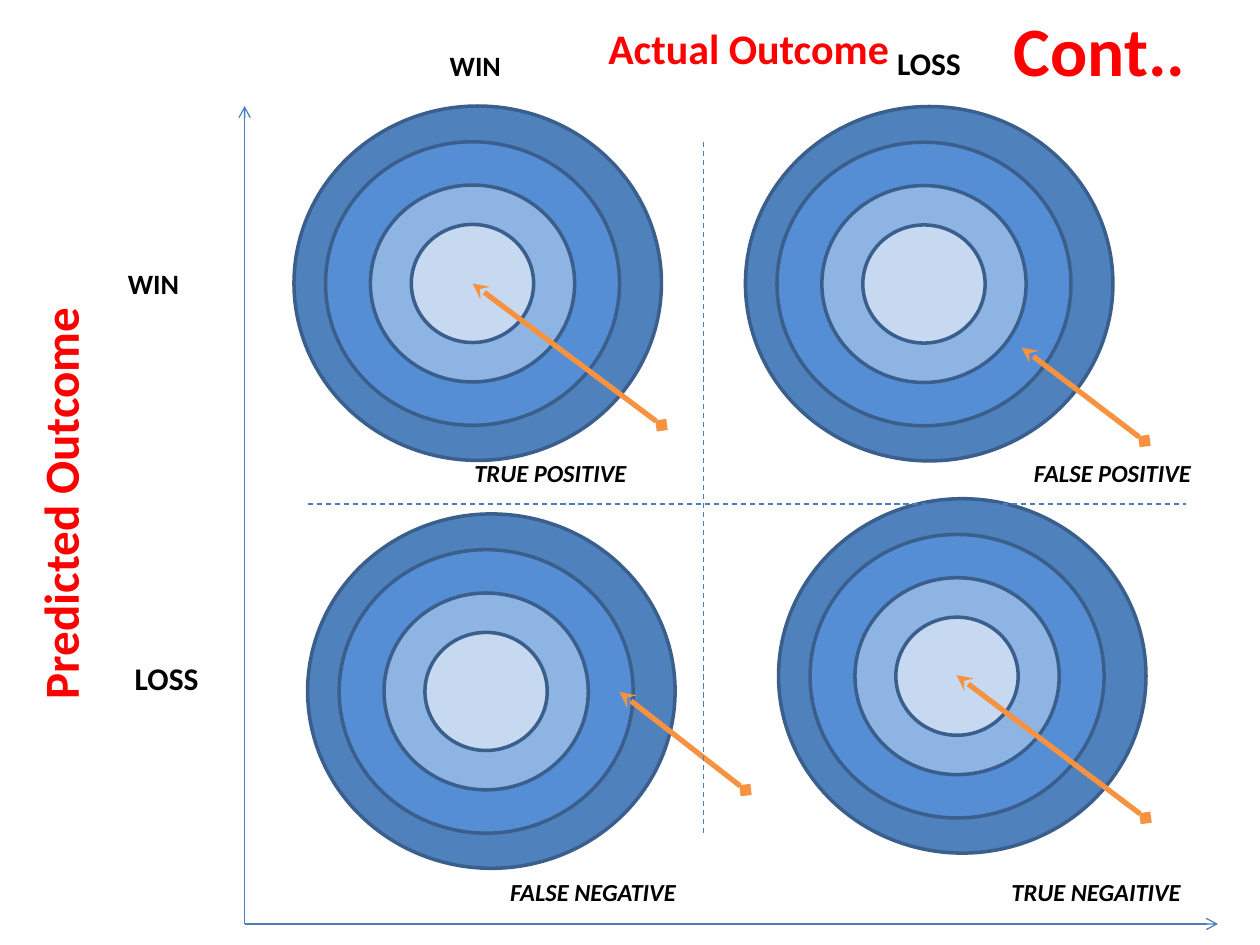
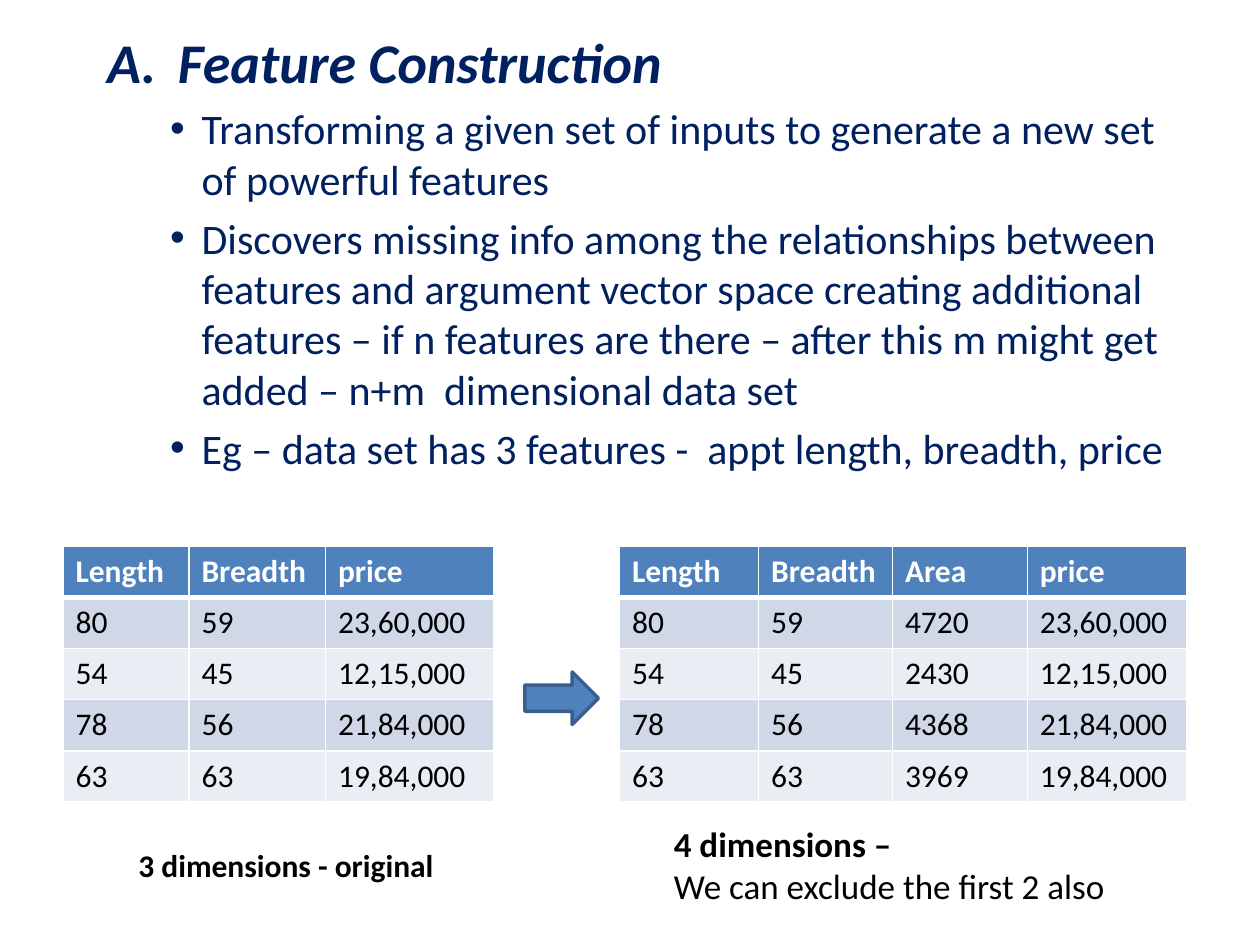
"""Build two slides on prediction outcomes and feature construction."""
import pptx
import pptx.chart.data
import pptx.dml.color
import pptx.enum.dml
import pptx.enum.shapes
import pptx.enum.text
import pptx.oxml.ns
import pptx.util
import lxml.etree

RGBColor = pptx.dml.color.RGBColor
BLUE = RGBColor(0x4F, 0x81, 0xBD)
OUTLINE = RGBColor(0x3A, 0x5F, 0x8C)
AXIS = RGBColor(0x4B, 0x7E, 0xBC)
ORANGE = RGBColor(0xF6, 0x92, 0x40)
RED = RGBColor(0xFF, 0x00, 0x00)
NAVY = RGBColor(0x00, 0x20, 0x60)
BLACK = RGBColor(0x00, 0x00, 0x00)
WHITE = RGBColor(0xFF, 0xFF, 0xFF)
BAND_DARK = RGBColor(0xD0, 0xD8, 0xE8)
BAND_LIGHT = RGBColor(0xE9, 0xED, 0xF4)
RINGS = [
    (28, 27, RGBColor(0x55, 0x8E, 0xD5)),
    (19.45, 18.75, RGBColor(0x8E, 0xB4, 0xE3)),
    (11.65, 11.25, RGBColor(0xC6, 0xD9, 0xF1)),
]
FONT = "Calibri"
UNITS_PER_INCH = 12
TITLE_ONLY, TITLE_AND_CONTENT = 5, 1


def add_element(parent, tag, **attributes):
    """Append a drawing element with the given attributes."""
    return lxml.etree.SubElement(parent, pptx.oxml.ns.qn(tag), **attributes)


class SlideBuilder:
    """Draw styled elements on a grid of 120 columns by 90 rows."""

    def __init__(self, presentation):
        self.presentation = presentation
        self.slide = None

    def new_slide(self, layout_index):
        layout = self.presentation.slide_layouts[layout_index]
        self.slide = self.presentation.slides.add_slide(layout)

    def grid(self, *units):
        return [pptx.util.Inches(unit / UNITS_PER_INCH) for unit in units]

    def place(self, shape, *box):
        shape.left, shape.top, shape.width, shape.height = self.grid(*box)

    def format_runs(self, paragraph, size, color, bold=False, italic=False):
        for run in paragraph.runs:
            run.font.name = FONT
            run.font.size = pptx.util.Pt(size)
            run.font.bold = bold
            run.font.italic = italic
            run.font.color.rgb = color

    def title(self, text, *box):
        title = self.slide.shapes.title
        self.place(title, *box)
        frame = title.text_frame
        frame.text = text
        frame.auto_size = pptx.enum.text.MSO_AUTO_SIZE.NONE
        frame.vertical_anchor = pptx.enum.text.MSO_ANCHOR.MIDDLE
        frame.paragraphs[0].alignment = pptx.enum.text.PP_ALIGN.RIGHT
        self.format_runs(frame.paragraphs[0], 39.6, RED, bold=True)

    def outline(self, heading, points, *box):
        title = self.slide.shapes.title
        title.element.getparent().remove(title.element)
        body = self.slide.placeholders[1]
        self.place(body, *box)
        frame = body.text_frame
        frame.text = "\n".join([heading, *points])
        frame.auto_size = pptx.enum.text.MSO_AUTO_SIZE.NONE
        first, *others = frame.paragraphs
        self.indent(first, 12.75, 6.75)
        add_element(first._p.pPr, "a:buFont", typeface="+mj-lt")
        add_element(first._p.pPr, "a:buAutoNum", type="alphaUcPeriod")
        first.space_before = pptx.util.Pt(0)
        self.format_runs(first, 32, NAVY, bold=True, italic=True)
        for paragraph in others:
            paragraph.level = 1
            self.indent(paragraph, 15, 3)
            add_element(paragraph._p.pPr, "a:buFont", typeface="Arial")
            add_element(paragraph._p.pPr, "a:buChar", char="•")
            paragraph.space_before = pptx.util.Pt(4.8)
            self.format_runs(paragraph, 24, NAVY)

    def indent(self, paragraph, margin, hanging):
        properties = paragraph._p.get_or_add_pPr()
        left, first_line = self.grid(margin, -hanging)
        properties.set("marL", str(left))
        properties.set("indent", str(first_line))

    def label(self, text, left, top, width, size, color=BLACK, italic=False,
              rotation=0, wrap=False):
        lines = text.count("\n") + 1
        height = 0.2 * size * lines + 1.2
        box = self.slide.shapes.add_textbox(*self.grid(left, top, width, height))
        box.rotation = rotation
        frame = box.text_frame
        frame.word_wrap = wrap
        frame.auto_size = pptx.enum.text.MSO_AUTO_SIZE.SHAPE_TO_FIT_TEXT
        frame.text = text
        for index, paragraph in enumerate(frame.paragraphs):
            self.format_runs(paragraph, size, color, index == 0, italic)

    def shape(self, kind, fill, *box):
        shape = self.slide.shapes.add_shape(kind, *self.grid(*box))
        shape.shadow.inherit = False
        shape.fill.solid()
        shape.fill.fore_color.rgb = fill
        shape.line.color.rgb = OUTLINE
        shape.line.width = pptx.util.Pt(2)

    def line(self, start, end, color=AXIS, width=0.75, dashed=False,
             head=None, tail=None):
        connector = self.slide.shapes.add_connector(
            pptx.enum.shapes.MSO_CONNECTOR.STRAIGHT, *self.grid(*start, *end))
        connector.line.color.rgb = color
        connector.line.width = pptx.util.Pt(width)
        if dashed:
            connector.line.dash_style = pptx.enum.dml.MSO_LINE.DASH
        properties = connector._element.spPr
        for tag, end_type in (("a:headEnd", head), ("a:tailEnd", tail)):
            if end_type:
                add_element(connector.line._get_or_add_ln(), tag, type=end_type)
        add_element(properties, "a:effectLst")

    def target(self, center_x, center_y, arrow_tip, arrow_end):
        oval = pptx.enum.shapes.MSO_SHAPE.OVAL
        self.shape(oval, BLUE, center_x - 17, center_y - 16.9, 35, 33.75)
        for width, height, color in RINGS:
            self.shape(oval, color, center_x - width / 2,
                       center_y - height / 2, width, height)
        self.line(arrow_tip, arrow_end, ORANGE, 3, head="stealth", tail="diamond")

    def table(self, rows, left, top, widths, row_height=4.88):
        frame = self.slide.shapes.add_table(
            len(rows), len(widths),
            *self.grid(left, top, sum(widths), row_height * len(rows)))
        table = frame.table
        for column, width in zip(table.columns, self.grid(*widths)):
            column.width = width
        for row_index, values in enumerate(rows):
            header = row_index == 0
            fill = BLUE if header else BAND_DARK if row_index % 2 else BAND_LIGHT
            for column_index, value in enumerate(values):
                cell = table.cell(row_index, column_index)
                self.borders(cell, top=3 if row_index == 1 else 1,
                             bottom=3 if header else 1)
                cell.fill.solid()
                cell.fill.fore_color.rgb = fill
                cell.text_frame.text = value
                self.format_runs(cell.text_frame.paragraphs[0], 18,
                                 WHITE if header else BLACK, bold=header)

    def borders(self, cell, top, bottom):
        properties = cell._tc.get_or_add_tcPr()
        for side, width in (("L", 1), ("R", 1), ("T", top), ("B", bottom)):
            border = add_element(properties, f"a:ln{side}",
                                 w=str(pptx.util.Pt(width)))
            add_element(add_element(border, "a:solidFill"), "a:srgbClr",
                        val=str(WHITE))


def build_outcomes(builder):
    """Draw the four targets of predicted against actual outcome."""
    builder.new_slide(TITLE_ONLY)
    builder.title("Cont..", 6.1, 0, 108, 9.35)
    builder.target(45, 27, (45, 27), (63, 40.5))
    builder.target(88, 27.05, (97.3, 33.1), (109, 42))
    builder.target(46.3, 65.85, (59, 65.9), (71, 75.25))
    builder.target(91.15, 64.4, (91.1, 64.3), (109.1, 77.9))

    origin = (23.3, 88)
    builder.line(origin, (23.3, 10.1), tail="arrow")
    builder.line(origin, (116, 88), tail="arrow")
    builder.line((29.3, 48), (113, 48), dashed=True)
    builder.line((67, 13.5), (67, 79.5), dashed=True)

    for text, left, top, width in (
            ("TRUE POSITIVE", 44, 43, 17.5),
            ("FALSE POSITIVE", 97.3, 43, 18),
            ("FALSE NEGATIVE", 47.4, 82.9, 18.8),
            ("TRUE NEGAITIVE", 95.15, 82.9, 19.2)):
        builder.label(text, left, top, width, 14, italic=True)
    for left, top in ((41.65, 4), (11, 24.8)):
        builder.label("WIN", left, top, 7.3, 16)
    for left, top in ((11.65, 62.15), (84.25, 3.6)):
        builder.label("LOSS", left, top, 8.5, 18)
    builder.label("Actual Outcome", 56.75, 1.55, 29.4, 24, RED)
    builder.label("Predicted Outcome", -14.4, 44.3, 40.1, 28, RED, rotation=270)


def build_feature_construction(builder):
    """Explain feature construction with a table before and after."""
    builder.new_slide(TITLE_AND_CONTENT)
    builder.outline("Feature Construction", [
        "Transforming a given set of inputs to generate a new set of powerful "
        "features",
        "Discovers missing info among the relationships between features and "
        "argument vector space creating additional features – if n features are "
        "there – after this m might get added – n+m  dimensional data set",
        "Eg – data set has 3 features -  appt length, breadth, price",
    ], 3, 2, 111, 47)

    apartments = [(80, 59, "23,60,000"), (54, 45, "12,15,000"),
                  (78, 56, "21,84,000"), (63, 63, "19,84,000")]
    three_features = [("Length", "Breadth", "price")]
    four_features = [("Length", "Breadth", "Area", "price")]
    for length, breadth, price in apartments:
        three_features.append((str(length), str(breadth), price))
        four_features.append(
            (str(length), str(breadth), str(length * breadth), price))
    builder.table(three_features, 6, 52, (12, 13, 16))
    builder.table(four_features, 59, 52, (13.25, 12.75, 12.85, 15.15))
    builder.shape(pptx.enum.shapes.MSO_SHAPE.RIGHT_ARROW, BLUE, 50, 64, 7, 5)
    builder.label("3 dimensions - original", 12, 80, 30.7, 18)
    builder.label("4 dimensions –\nWe can exclude the first 2 also",
                  63, 77.75, 54.7, 20, wrap=True)


def main():
    """Assemble and save the presentation."""
    presentation = pptx.Presentation()
    presentation.slide_width = pptx.util.Inches(10)
    presentation.slide_height = pptx.util.Inches(7.5)
    builder = SlideBuilder(presentation)
    build_outcomes(builder)
    build_feature_construction(builder)
    presentation.save("out.pptx")


if __name__ == "__main__":
    main()
